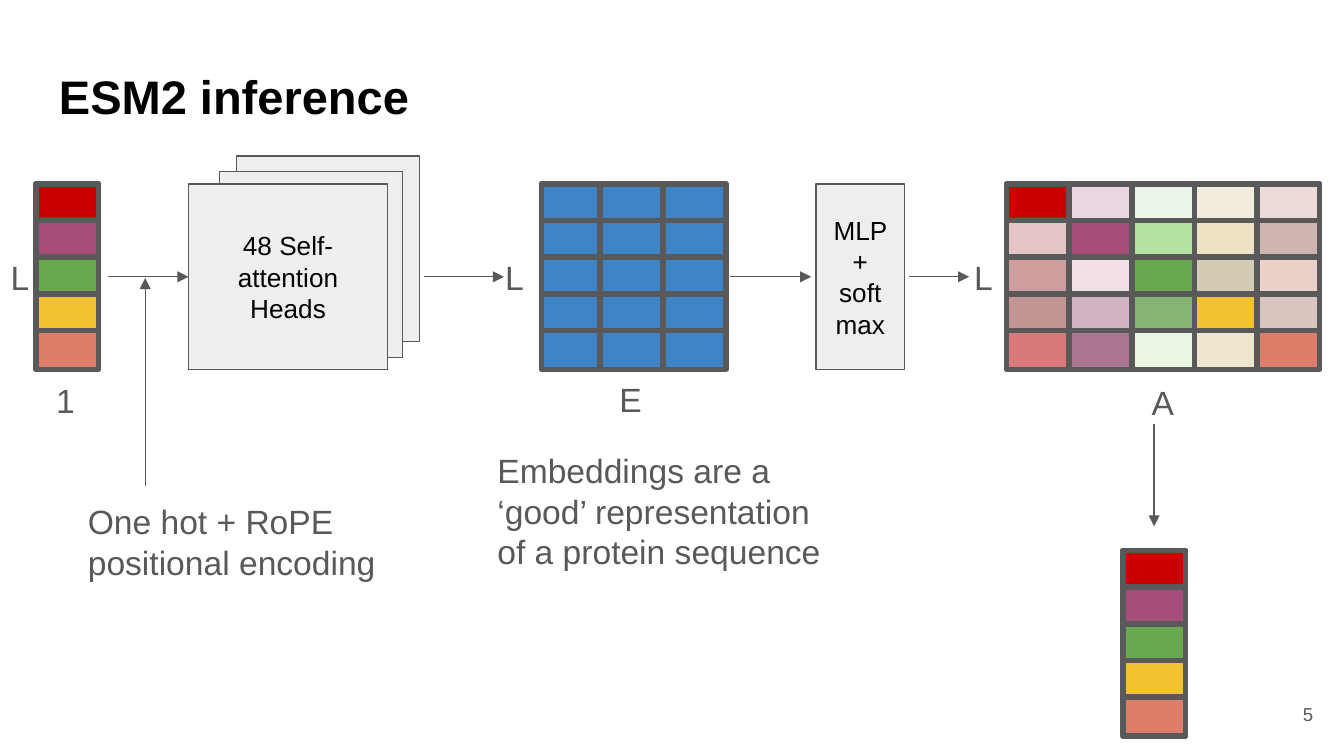
from dataclasses import dataclass

from lxml import etree
from pptx import Presentation
from pptx.dml.color import RGBColor
from pptx.enum.shapes import MSO_CONNECTOR, MSO_SHAPE
from pptx.enum.text import MSO_ANCHOR, MSO_AUTO_SIZE, PP_ALIGN
from pptx.oxml.ns import qn
from pptx.util import Pt

RECTANGLE = MSO_SHAPE.RECTANGLE
STRAIGHT = MSO_CONNECTOR.STRAIGHT
TOP, MIDDLE = MSO_ANCHOR.TOP, MSO_ANCHOR.MIDDLE
LEFT, CENTER, RIGHT = PP_ALIGN.LEFT, PP_ALIGN.CENTER, PP_ALIGN.RIGHT
GROW, FIXED = MSO_AUTO_SIZE.SHAPE_TO_FIT_TEXT, MSO_AUTO_SIZE.NONE


@dataclass(frozen=True)
class Theme:
    font: str = "Arial"
    black: str = "000000"
    gray: str = "595959"
    panel: str = "EEEEEE"
    embedding: str = "3D85C6"
    residues: tuple[str, ...] = ("CC0000", "A64D79", "6AA84F", "F1C232", "DD7E6B")
    title_size: float = 25.2
    body_size: float = 18
    block_size: float = 14
    number_size: float = 10
    thin: float = 0.75
    thick: float = 3
    inset: float = 7.2


THEME = Theme()

# Geometry shared by the columns and blocks, in points
ROW_TOP = 98.6
COLUMN_WIDTH = 33.6
COLUMN_HEIGHT = 99.4
CELL_HEIGHT = 19.6
MATRIX_LEFT = 539.3
MATRIX_PITCH = 33.5
FLOW_Y = 148.3
LABEL_WIDTH, LABEL_HEIGHT = 27.4, 36


@dataclass(frozen=True)
class Box:
    left: float
    top: float
    width: float
    height: float


@dataclass(frozen=True)
class Column:
    left: float
    top: float
    colors: tuple[str, ...]


@dataclass(frozen=True)
class Arrow:
    x1: float
    y1: float
    x2: float
    y2: float


@dataclass(frozen=True)
class Label:
    text: str
    box: Box
    size: float = THEME.body_size
    color: str = THEME.gray
    bold: bool = False
    align: PP_ALIGN = LEFT
    anchor: MSO_ANCHOR = TOP
    auto_size: MSO_AUTO_SIZE = GROW


def write_text(shape, label: Label) -> None:
    frame = shape.text_frame
    frame.word_wrap = True
    frame.auto_size = label.auto_size
    frame.vertical_anchor = label.anchor
    frame.margin_left = frame.margin_right = Pt(THEME.inset)
    frame.margin_top = frame.margin_bottom = Pt(THEME.inset)
    para = frame.paragraphs[0]
    para.text = label.text
    para.alignment = label.align
    para.font.name = THEME.font
    para.font.size = Pt(label.size)
    para.font.bold = label.bold
    para.font.color.rgb = RGBColor.from_string(label.color)


def add_label(page, label: Label) -> None:
    box = label.box
    write_text(page.shapes.add_textbox(
        Pt(box.left), Pt(box.top), Pt(box.width), Pt(box.height)), label)


def add_rectangle(shapes, box: Box, fill: str, line_width: float):
    shape = shapes.add_shape(
        RECTANGLE, Pt(box.left), Pt(box.top), Pt(box.width), Pt(box.height))
    shape.shadow.inherit = False
    shape.fill.solid()
    shape.fill.fore_color.rgb = RGBColor.from_string(fill)
    shape.line.color.rgb = RGBColor.from_string(THEME.gray)
    shape.line.width = Pt(line_width)
    return shape


def add_block(page, text: str, box: Box) -> None:
    shape = add_rectangle(page.shapes, box, THEME.panel, THEME.thin)
    write_text(shape, Label(text, box, THEME.block_size, THEME.black,
                            align=CENTER, anchor=MIDDLE, auto_size=FIXED))


def add_column(page, column: Column) -> None:
    """Draw a full-height base in the last colour, with the other cells on it."""
    shapes = page.shapes.add_group_shape().shapes
    *cells, base = column.colors
    add_rectangle(shapes, Box(column.left, column.top, COLUMN_WIDTH, COLUMN_HEIGHT),
                  base, THEME.thick)
    for row, color in enumerate(cells):
        top = column.top + row * CELL_HEIGHT
        add_rectangle(shapes, Box(column.left, top, COLUMN_WIDTH, CELL_HEIGHT),
                      color, THEME.thick)


def add_arrow(page, arrow: Arrow) -> None:
    connector = page.shapes.add_connector(
        STRAIGHT, Pt(arrow.x1), Pt(arrow.y1), Pt(arrow.x2), Pt(arrow.y2))
    connector.line.color.rgb = RGBColor.from_string(THEME.gray)
    connector.line.width = Pt(THEME.thin)
    etree.SubElement(connector.line._get_or_add_ln(), qn("a:tailEnd"), type="triangle")
    etree.SubElement(connector._element.spPr, qn("a:effectLst"))


def small_label(text: str, left: float, top: float) -> Label:
    return Label(text, Box(left, top, LABEL_WIDTH, LABEL_HEIGHT))


EMBEDDING_LEFTS = (290, 321.3, 355.2)
MATRIX = (
    ("CC0000", "E4C5C5", "CE9E9E", "C49595", "DA7979"),
    ("EBD5E0", "A64D79", "F1DFE8", "D1B4C3", "AA7690"),
    ("ECF5E9", "B5E2A2", "6AA84F", "86B473", "EAF7E4"),
    ("F1ECDD", "ECE2C3", "D3CBB3", "F1C232", "EEE6CD"),
    ("EEDAD6", "CFB5AF", "ECD0CA", "DAC4BF", "DD7E6B"),
)
COLUMNS = (
    Column(19.2, ROW_TOP, THEME.residues),
    *(Column(left, ROW_TOP, (THEME.embedding,) * 5) for left in EMBEDDING_LEFTS),
    *(Column(MATRIX_LEFT + index * MATRIX_PITCH, ROW_TOP, colors)
      for index, colors in enumerate(MATRIX)),
    Column(601.5, 295, THEME.residues),
)
ARROWS = (
    Arrow(57.9, FLOW_Y, 101, FLOW_Y),
    Arrow(227, FLOW_Y, 270, FLOW_Y),
    Arrow(391, FLOW_Y, 434.6, FLOW_Y),
    Arrow(487, FLOW_Y, 519.2, FLOW_Y),
    Arrow(77.8, 260.6, 77.8, 149),
    Arrow(618.3, 227, 618.3, 282),
)
LABELS = (
    Label("ESM2 inference", Box(24.5, 28.8, 671, 45.4), THEME.title_size,
          THEME.black, bold=True, auto_size=FIXED),
    *(small_label("L", left, 130.3) for left in (-1.4, 263.5, 514.8)),
    small_label("1", 23, 196.5),
    small_label("E", 324.7, 195.8),
    small_label("A", 609.8, 197.3),
    Label("One hot + RoPE positional encoding", Box(40, 261.4, 175.7, 58.3)),
    Label("Embeddings are a ‘good’ representation of a protein sequence",
          Box(259.4, 234, 201.6, 80)),
    Label("5", Box(667.4, 367.2, 43.2, 31), THEME.number_size,
          align=RIGHT, anchor=MIDDLE, auto_size=FIXED),
)


def main() -> None:
    deck = Presentation()
    deck.slide_width, deck.slide_height = Pt(720), Pt(405)
    page = deck.slides.add_slide(deck.slide_layouts[6])

    # Stacked attention heads and the output block
    for left, top in ((126.7, 83.5), (117.5, 92)):
        add_rectangle(page.shapes, Box(left, top, 98.2, 99.4), THEME.panel, THEME.thin)
    add_block(page, "48 Self-attention Heads", Box(101, ROW_TOP, 106.6, COLUMN_HEIGHT))
    add_block(page, "MLP + softmax", Box(437.2, ROW_TOP, 47.4, COLUMN_HEIGHT))

    # Sequence, embedding and probability columns
    for column in COLUMNS:
        add_column(page, column)

    # Flow arrows and wording
    for arrow in ARROWS:
        add_arrow(page, arrow)
    for label in LABELS:
        add_label(page, label)

    deck.save("out.pptx")


if __name__ == "__main__":
    main()
